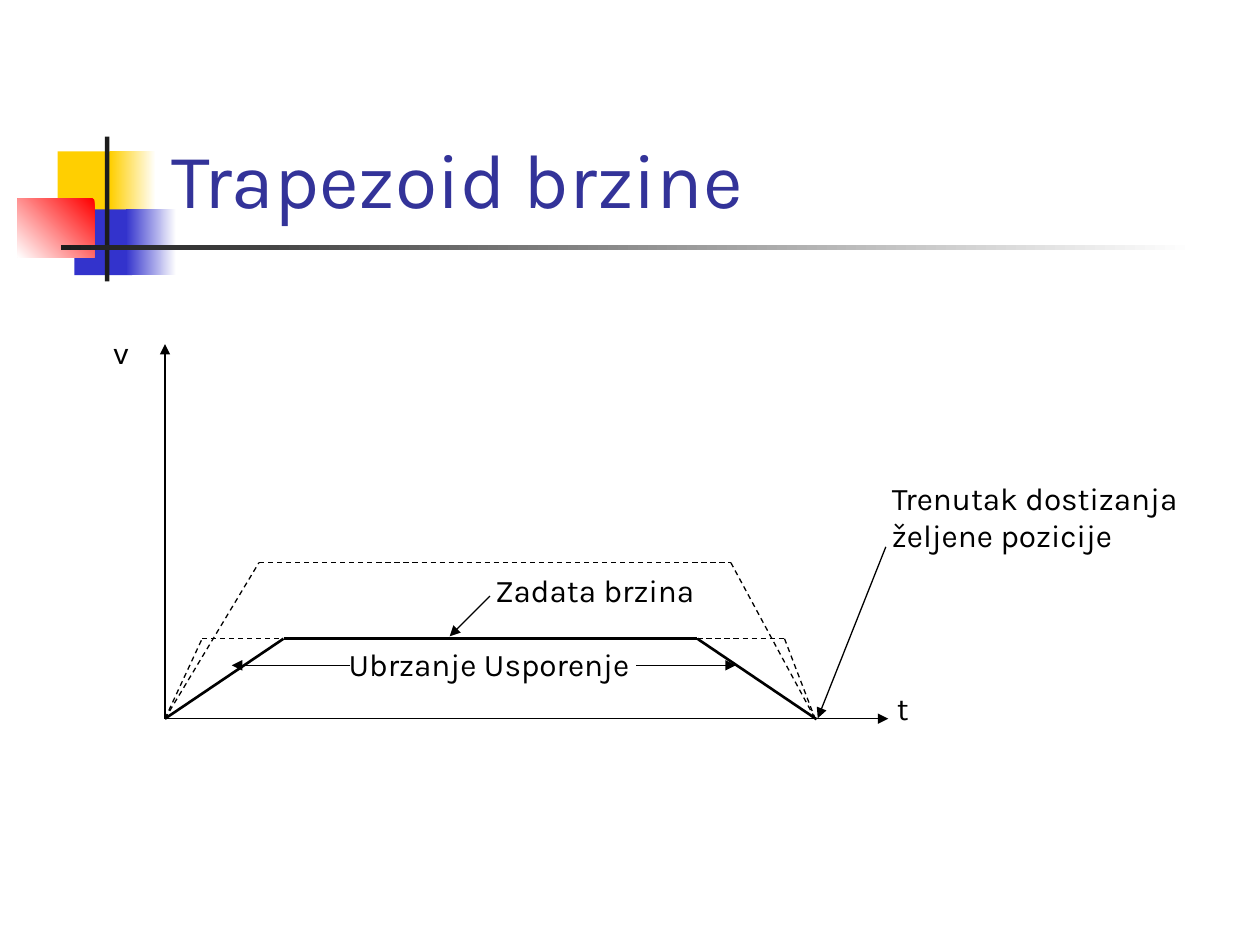
from lxml import etree
from pptx import Presentation
from pptx.dml.color import RGBColor
from pptx.enum.dml import MSO_LINE
from pptx.enum.shapes import MSO_CONNECTOR, MSO_SHAPE
from pptx.enum.text import MSO_ANCHOR
from pptx.oxml.ns import qn
from pptx.util import Pt

FONT = "Karla"
BLACK = RGBColor(0x00, 0x00, 0x00)
WHITE = RGBColor(0xFF, 0xFF, 0xFF)
YELLOW = RGBColor(0xFF, 0xCF, 0x01)
BLUE = RGBColor(0x33, 0x33, 0xCC)
RED = RGBColor(0xFF, 0x00, 0x00)
CHARCOAL = RGBColor(0x1C, 0x1C, 0x1C)
TITLE_BLUE = RGBColor(0x33, 0x33, 0x99)

prs = Presentation()
prs.slide_width, prs.slide_height = Pt(720), Pt(540)
s = prs.slides.add_slide(prs.slide_layouts[6])


def add_text(x, y, w, h, lines, size, color):
    tf = s.shapes.add_textbox(Pt(x), Pt(y), Pt(w), Pt(h)).text_frame
    tf.word_wrap = False
    for i, line in enumerate(lines):
        p = tf.paragraphs[0] if i == 0 else tf.add_paragraph()
        p.text = line
        p.font.name, p.font.size = FONT, Pt(size)
        p.font.color.rgb = color
    return tf


def add_line(start, end, width=0.75, dashed=False, arrow=False):
    c = s.shapes.add_connector(MSO_CONNECTOR.STRAIGHT, *map(Pt, start + end))
    c.line.color.rgb, c.line.width = BLACK, Pt(width)
    if dashed:
        c.line.dash_style = MSO_LINE.DASH
    if arrow:
        etree.SubElement(c.line._ln, qn("a:tailEnd"), type="triangle")
    etree.SubElement(c._element.spPr, qn("a:effectLst"))


# Title ornament: solid blocks have one colour, fades have two and an angle
ornament = [
    (33, 86.5, 35, 37.5, (YELLOW,), None),
    (63, 86.5, 26, 37.5, (WHITE, YELLOW), 180),
    (42.5, 119.7, 33, 37.5, (BLUE,), None),
    (72, 119.7, 28.8, 37.5, (WHITE, BLUE), 180),
    (10, 113.7, 44, 33.3, (RED, WHITE), 225),
    (60, 78, 2.5, 82.8, (CHARCOAL,), None),
    (34.7, 140.2, 648, 2.5, (WHITE, CHARCOAL), 180),
]
for x, y, w, h, colors, angle in ornament:
    sp = s.shapes.add_shape(MSO_SHAPE.RECTANGLE, Pt(x), Pt(y), Pt(w), Pt(h))
    sp.shadow.inherit = False
    sp.line.fill.background()
    if angle is None:
        sp.fill.solid()
        sp.fill.fore_color.rgb = colors[0]
    else:
        sp.fill.gradient()
        sp.fill.gradient_angle = angle
        for stop, color, position in zip(sp.fill.gradient_stops, colors, (0, 1)):
            stop.color.rgb, stop.position = color, position

# Title
tf = add_text(90.7, 16.5, 613.5, 115.2, ["Trapezoid brzine"], 44, TITLE_BLUE)
tf.word_wrap = True
tf.vertical_anchor = MSO_ANCHOR.BOTTOM

# Axes
origin = (94.3, 410.7)
add_line(origin, (507.6, 410.7), arrow=True)
add_line(origin, (94.3, 196.6), arrow=True)

# Speed profiles: the set one is solid, the others dashed
finish = (465.8, 410.7)
low, high = 365, 321.5
profiles = [
    ([origin, (162, low), (398.5, low), (466.6, 411)], 1.5, False),
    ([origin, (115.5, low), (161, low)], 0.75, True),
    ([(398.5, low), (448.3, low), finish], 0.75, True),
    ([origin, (148, high), (417.6, high), finish], 0.75, True),
]
for points, width, dashed in profiles:
    for start, end in zip(points, points[1:]):
        add_line(start, end, width, dashed)

# Pointer arrows
for start, end in [
    ((280, 340.6), (257, 363.6)),
    ((200.2, 380.2), (132.5, 380.2)),
    ((363.6, 380.2), (420.5, 380.2)),
    ((506.2, 312.5), (467.3, 410.4)),
]:
    add_line(start, end, arrow=True)

# Labels
for x, y, w, h, lines in [
    (502.6, 270, 181.4, 50.4, ["Trenutak dostizanja", "željene pozicije"]),
    (275.8, 322.6, 129.6, 28.8, ["Zadata brzina"]),
    (192.2, 365, 182.2, 28.8, ["Ubrzanje Usporenje"]),
    (505.4, 390.2, 20.9, 28.8, ["t"]),
    (57.6, 186.5, 23, 28.8, ["v"]),
]:
    add_text(x, y, w, h, lines, 18, BLACK)

prs.save("out.pptx")
